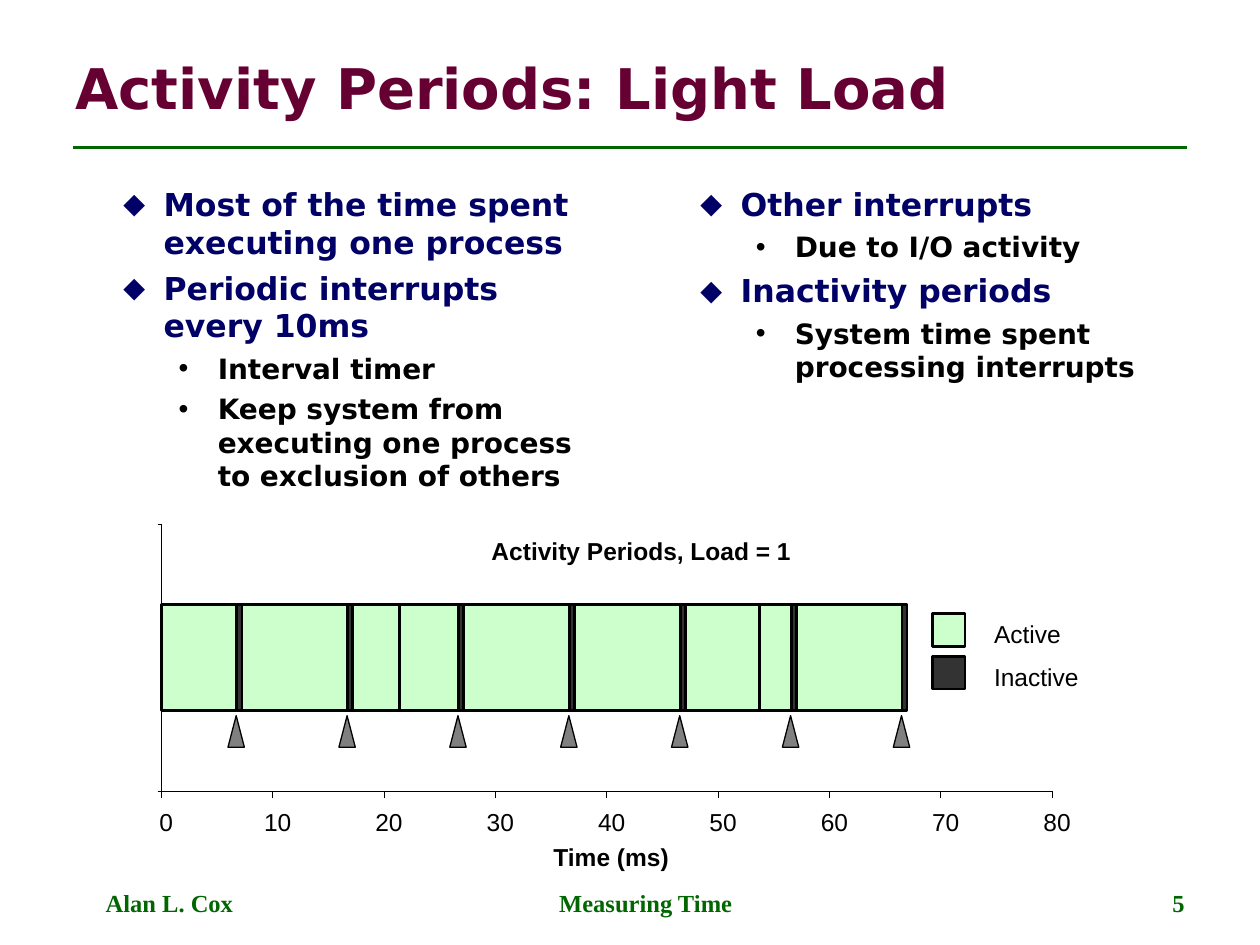
import pptx
import pptx.dml.color
import pptx.enum.shapes
import pptx.enum.text
import pptx.oxml.ns
import pptx.util
from lxml import etree

Inches, Pt = pptx.util.Inches, pptx.util.Pt
ALIGN = pptx.enum.text.PP_ALIGN
ANCHOR = pptx.enum.text.MSO_ANCHOR
SHAPE = pptx.enum.shapes.MSO_SHAPE
LINE = pptx.enum.shapes.MSO_CONNECTOR.STRAIGHT

# Content: (level, words) for each bullet
TITLE = "Activity Periods: Light Load"
BODY = [
    (0.5, [(1, "Most of the time spent executing one process"),
           (1, "Periodic interrupts every 10ms"),
           (2, "Interval timer"),
           (2, "Keep system from executing one process to exclusion of others")]),
    (5.08, [(1, "Other interrupts"),
            (2, "Due to I/O activity"),
            (1, "Inactivity periods"),
            (2, "System time spent processing interrupts")]),
]
FOOTER = [("Alan L. Cox", 0.5, 2.33, ALIGN.LEFT),
          ("Measuring Time", 3.42, 3.17, ALIGN.CENTER),
          ("5", 7.17, 2.33, ALIGN.RIGHT)]
LEVELS = {
    1: dict(size=18, color="000066", left=0.7, hang=0.32, gap=4.5,
            mark="◆", font="DejaVu Sans", scale=90),
    2: dict(size=16, color="000000", left=1.13, hang=0.31, gap=4,
            mark="•", font="Arial", scale=100),
}
LEGEND = [("Active", "CCFFCC", 0.53), ("Inactive", "333333", 0.67)]

# Timeline, in inches
LEFT, RIGHT, TOP, BASE = 1.28, 8.35, 4.16, 6.28
STEPS = 8
BAR_TOP, BAR_HIGH = 4.8, 0.84
TIMER = [1.88 + 0.88 * i for i in range(7)]   # start of each timer interrupt
PAUSE = 0.04                                  # length of an inactive period
CUTS = [3.17, 6.03]                           # other interrupts
SLACK = 0.1                                   # spare room on each side of a label

prs = pptx.Presentation()
prs.slide_width, prs.slide_height = Inches(10), Inches(7.5)
slide = prs.slides.add_slide(prs.slide_layouts[6])
shapes = slide.shapes


def rgb(code):
    return pptx.dml.color.RGBColor.from_string(code)


def write(para, words, size, color="000000", font="Arial", bold=False):
    run = para.add_run()
    run.text = words
    run.font.size, run.font.name, run.font.bold = Pt(size), font, bold
    run.font.color.rgb = rgb(color)


def frame(x, y, wide, high, wrap=True):
    text = shapes.add_textbox(Inches(x), Inches(y), Inches(wide), Inches(high)).text_frame
    text.word_wrap = wrap
    return text


def label(words, x, y, wide, bold=False):
    text = frame(x - SLACK, y, wide + 2 * SLACK, 0.21, wrap=False)
    text.margin_left = text.margin_right = text.margin_top = text.margin_bottom = 0
    para = text.paragraphs[0]
    para.alignment, para.line_spacing = ALIGN.CENTER, 0.9
    write(para, words, 14, bold=bold)


def paint(shape, fill, width):
    shape.shadow.inherit = False
    shape.fill.solid()
    shape.fill.fore_color.rgb = rgb(fill)
    shape.line.color.rgb = rgb("000000")
    shape.line.width = Pt(width)


def box(x, y, wide, high, fill):
    paint(shapes.add_shape(SHAPE.RECTANGLE, Inches(x), Inches(y), Inches(wide), Inches(high)),
          fill, 1.5)


def rule(x1, y1, x2, y2, color="000000", width=0.5):
    line = shapes.add_connector(LINE, Inches(x1), Inches(y1), Inches(x2), Inches(y2))
    line.line.color.rgb = rgb(color)
    line.line.width = Pt(width)
    etree.SubElement(line._element.spPr, pptx.oxml.ns.qn("a:effectLst"))


def indent(para, left, hang=0):
    props = para._p.get_or_add_pPr()
    props.set("marL", str(Inches(left)))
    props.set("indent", str(-Inches(hang)))
    return props


def bullet(para, words, level):
    look = LEVELS[level]
    para.space_before = Pt(look["gap"])
    props = indent(para, look["left"], look["hang"])
    qn = pptx.oxml.ns.qn
    tint = etree.SubElement(props, qn("a:buClr"))
    etree.SubElement(tint, qn("a:srgbClr"), val=look["color"])
    etree.SubElement(props, qn("a:buSzPct"), val=str(look["scale"] * 1000))
    etree.SubElement(props, qn("a:buFont"), typeface=look["font"])
    etree.SubElement(props, qn("a:buChar"), char=look["mark"])
    write(para, words, look["size"], look["color"], "DejaVu Sans", True)


# Title and its rule
rule(0.58, 1.17, 9.42, 1.17, "006600", 1.5)
head = frame(0.5, 0.3, 9, 0.78)
head.vertical_anchor = ANCHOR.MIDDLE
write(head.paragraphs[0], TITLE, 32, "660033", "DejaVu Sans", True)

# Two columns of bullets
for x, items in BODY:
    text = frame(x, 1.42, 4.42, 5.28)
    for i, (level, words) in enumerate(items):
        bullet(text.add_paragraph() if i else text.paragraphs[0], words, level)

# Active spans, split at the cuts, each ended by an inactive one
start = LEFT
for tick in TIMER:
    edges = [start] + [cut for cut in CUTS if start < cut < tick] + [tick]
    for a, b in zip(edges, edges[1:]):
        box(a, BAR_TOP, b - a, BAR_HIGH, "CCFFCC")
    box(tick, BAR_TOP, PAUSE, BAR_HIGH, "333333")
    start = tick + PAUSE

# Axes, ticks and tick labels
rule(LEFT, BASE, RIGHT, BASE)
rule(LEFT, TOP, LEFT, BASE)
for y in (TOP, BASE):
    rule(LEFT - 0.03, y, LEFT, y)
for i in range(STEPS + 1):
    x = LEFT + i * (RIGHT - LEFT) / STEPS
    rule(x, BASE + 0.05, x, BASE)
    wide = 0.22 if i else 0.11
    label(str(i * 10), x + 0.04 - wide / 2, 6.43, wide)
label("Activity Periods, Load = 1", 3.9, 4.28, 2.38, True)
label("Time (ms)", 4.39, 6.71, 0.92, True)

# Timer markers
for tick in TIMER:
    mark = shapes.add_shape(SHAPE.ISOSCELES_TRIANGLE, Inches(tick - 0.07), Inches(5.68),
                            Inches(0.13), Inches(0.25))
    paint(mark, "808080", 0.75)

# Legend
for i, (words, fill, wide) in enumerate(LEGEND):
    y = 4.87 + 0.34 * i
    box(7.4, y, 0.26, 0.26, fill)
    label(words, 7.89, y + 0.07, wide)

# Footer
for words, x, wide, align in FOOTER:
    para = frame(x, 7, wide, 0.35).paragraphs[0]
    para.alignment = align
    indent(para, 0.24)
    write(para, words, 14, "006600", "Times New Roman", True)

prs.save("out.pptx")
